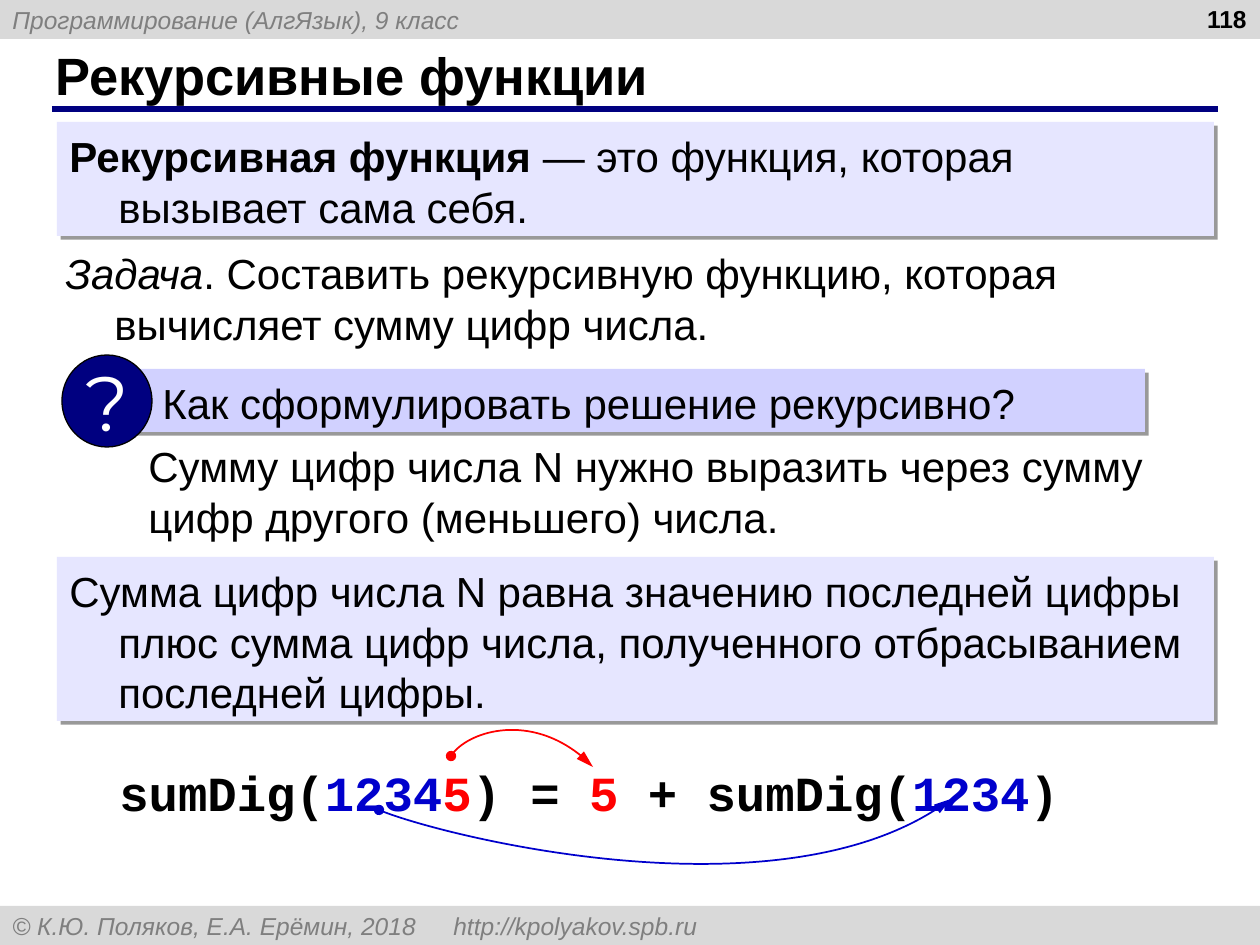
from lxml import etree
from pptx import Presentation
from pptx.dml.color import RGBColor
from pptx.enum.shapes import MSO_CONNECTOR, MSO_SHAPE
from pptx.enum.text import MSO_ANCHOR, PP_ALIGN
from pptx.oxml.ns import qn
from pptx.util import Emu, Pt

RECT, OVAL = MSO_SHAPE.RECTANGLE, MSO_SHAPE.OVAL
TOP, MIDDLE = MSO_ANCHOR.TOP, MSO_ANCHOR.MIDDLE
LEFT, RIGHT, CENTER = PP_ALIGN.LEFT, PP_ALIGN.RIGHT, PP_ALIGN.CENTER
BLACK, WHITE = RGBColor(0, 0, 0), RGBColor(255, 255, 255)
BAR, GRAY = RGBColor(0xD9, 0xD9, 0xD9), RGBColor(0x7F, 0x7F, 0x7F)
NAVY, BLUE = RGBColor(0, 0, 0x80), RGBColor(0, 0, 0xCC)
RED = RGBColor(0xFF, 0, 0)
PALE, LILAC = RGBColor(0xE6, 0xE6, 0xFF), RGBColor(0xD1, 0xD1, 0xFF)

SCALE = 914400 / 126
WIDTH, HEIGHT, BAR_HEIGHT = 1260, 945, 39
HANGING = 49

# Content: text is a list of (words, run format) pairs
TITLE = [("Рекурсивные функции", {})]
PAGE = [("118", {})]
HEADER = [("Программирование (АлгЯзык), 9 класс", {})]
FOOTER = [("© К.Ю. Поляков, Е.А. Ерёмин, 2018\thttp://kpolyakov.spb.ru", {})]
FOOTER_TAB = 1211
DEFINITION = [("Рекурсивная функция ", {"bold": True}),
              ("— это функция, которая вызывает сама себя.", {})]
TASK = [("Задача", {"italic": True}),
        (". Составить рекурсивную функцию, которая вычисляет сумму цифр числа.", {})]
QUESTION = [("Как сформулировать решение рекурсивно?", {})]
HINT = [("Сумму цифр числа N нужно выразить через сумму цифр другого (меньшего) числа.", {})]
ANSWER = [("Сумма цифр числа N равна значению последней цифры плюс сумма цифр числа, "
           "полученного отбрасыванием последней цифры.", {})]
FORMULA = [("sumDig(", {}), ("1234", {"color": BLUE}), ("5", {"color": RED}),
           (") = ", {}), ("5", {"color": RED}), (" + sumDig(", {}),
           ("1234", {"color": BLUE}), (")", {})]

# (box, fill, text, left margin, first-line indent)
STATEMENTS = [
    ((57, 122, 1157, 114), PALE, DEFINITION, HANGING, -HANGING),
    ((53, 239, 1163, 114), None, TASK, HANGING, -HANGING),
    ((127, 369, 1018, 63), LILAC, QUESTION, 23, 0),
    ((136, 432, 1085, 114), None, HINT, 0, 0),
    ((57, 557, 1157, 164), PALE, ANSWER, HANGING, -HANGING),
]

# (start, first control, second control, end), colour
ARROWS = [
    ([(451, 756), (465, 732), (541, 711), (593, 767)], RED),
    ([(379, 810), (435, 834), (789, 922), (951, 799)], BLUE),
]


def px(value):
    return Emu(round(value * SCALE))


def child(parent, tag, **attributes):
    return etree.SubElement(parent, qn(tag), attributes)


def write(shape, text, size=24, font="Arial", color=BLACK, bold=False, italic=False,
          align=LEFT, anchor=TOP, wrap=True, margin=0, indent=0, tab=None,
          spacing=None, inset_top=6):
    frame = shape.text_frame
    frame.word_wrap = wrap
    frame.vertical_anchor = anchor
    frame.margin_left = frame.margin_right = px(12.6)
    frame.margin_top, frame.margin_bottom = px(inset_top), px(6)
    paragraph = frame.paragraphs[0]
    properties = paragraph._p.get_or_add_pPr()
    properties.set("marL", str(px(margin)))
    properties.set("indent", str(px(indent)))
    if tab:
        child(child(properties, "a:tabLst"), "a:tab", pos=str(px(tab)), algn="r")
    paragraph.alignment = align
    if spacing:
        paragraph.line_spacing = Pt(spacing)
    for words, own in text:
        run = paragraph.add_run()
        run.text = words
        run.font.name, run.font.size = font, Pt(size)
        run.font.bold = own.get("bold", bold)
        run.font.italic = own.get("italic", italic)
        run.font.color.rgb = own.get("color", color)


def add_box(slide, box, fill=None, kind=RECT, outline=None, shadow=False):
    place = [px(value) for value in box]
    if fill is None:
        return slide.shapes.add_textbox(*place)
    shape = slide.shapes.add_shape(kind, *place)
    shape.fill.solid()
    shape.fill.fore_color.rgb = fill
    if outline is None:
        shape.line.fill.background()
    else:
        shape.line.color.rgb = outline
        shape.line.width = Pt(0.75)
    shape.shadow.inherit = False
    if shadow:
        effects = shape._element.spPr.find(qn("a:effectLst"))
        outer = child(effects, "a:outerShdw", dist=str(Pt(3)), dir="2700000",
                      algn="tl", rotWithShape="0")
        child(child(outer, "a:srgbClr", val="000000"), "a:alpha", val="40000")
    return shape


def add_curved_arrow(slide, points, color):
    builder = slide.shapes.build_freeform(*points[0], scale=SCALE)
    builder.add_line_segments(points[1:], close=False)
    curve = builder.convert_to_shape()
    # Turn the three segments into one cubic curve
    outline = next(curve._element.iter(qn("a:path")))
    bezier = child(outline, "a:cubicBezTo")
    for segment in outline.findall(qn("a:lnTo")):
        bezier.append(segment[0])
        outline.remove(segment)
    curve.fill.background()
    curve.line.color.rgb = color
    curve.line.width = Pt(1)
    curve.shadow.inherit = False
    line = curve.line._get_or_add_ln()
    child(line, "a:headEnd", type="oval")
    child(line, "a:tailEnd", type="triangle", w="med", len="lg")


def main():
    deck = Presentation()
    deck.slide_width, deck.slide_height = px(WIDTH), px(HEIGHT)
    slide = deck.slides.add_slide(deck.slide_layouts[5])

    # Header and footer bars
    for top, text, tab in ((0, HEADER, None), (HEIGHT - BAR_HEIGHT, FOOTER, FOOTER_TAB)):
        bar = add_box(slide, (0, top, WIDTH, BAR_HEIGHT), BAR)
        write(bar, text, size=14, color=GRAY, italic=True, anchor=MIDDLE, tab=tab)

    # Title, its rule and the page number
    title = slide.shapes.title
    title.left, title.top, title.width, title.height = map(px, (43, 42, 1154, 66))
    write(title, TITLE, size=30, bold=True, anchor=MIDDLE)
    rule = slide.shapes.add_connector(MSO_CONNECTOR.STRAIGHT, px(52), px(109), px(1218), px(109))
    rule.line.color.rgb = NAVY
    rule.line.width = Pt(3)
    child(rule._element.spPr, "a:effectLst")
    write(add_box(slide, (965, -2, 294, 65)), PAGE, size=14, bold=True, align=RIGHT)

    # Statements and the question badge
    for box, fill, text, margin, indent in STATEMENTS:
        write(add_box(slide, box, fill, shadow=True), text, margin=margin, indent=indent,
              spacing=29, inset_top=8)
    badge = add_box(slide, (62, 355, 90, 92), NAVY, kind=OVAL, outline=BLACK)
    write(badge, [("?", {})], size=44, font="Montserrat", color=WHITE,
          align=CENTER, anchor=MIDDLE, wrap=False)

    # Formula with arrows between matching digits
    write(add_box(slide, (107, 756, 965, 72)), FORMULA, size=28, font="Courier New",
          bold=True, wrap=False)
    for points, color in ARROWS:
        add_curved_arrow(slide, points, color)

    deck.save("out.pptx")


if __name__ == "__main__":
    main()
